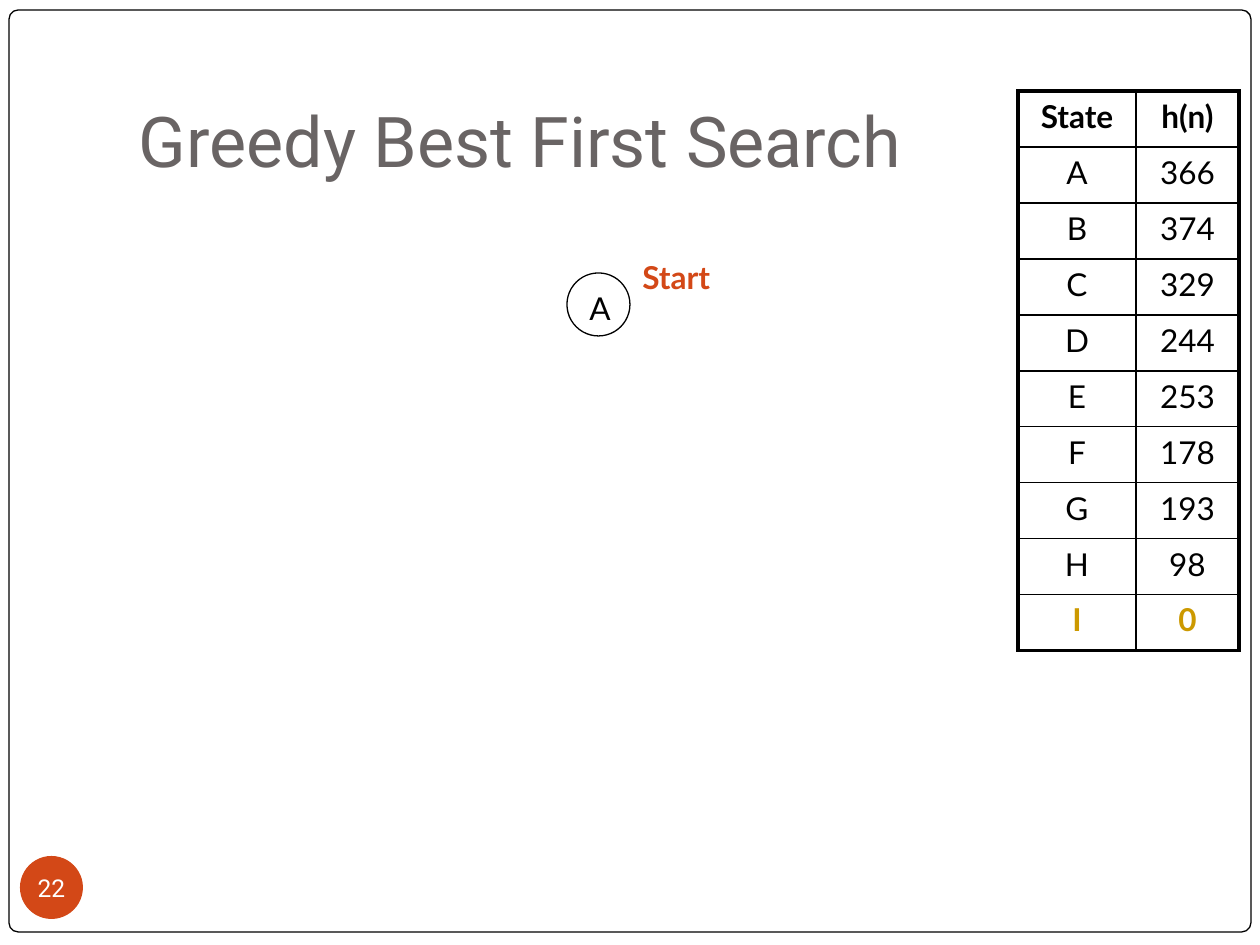
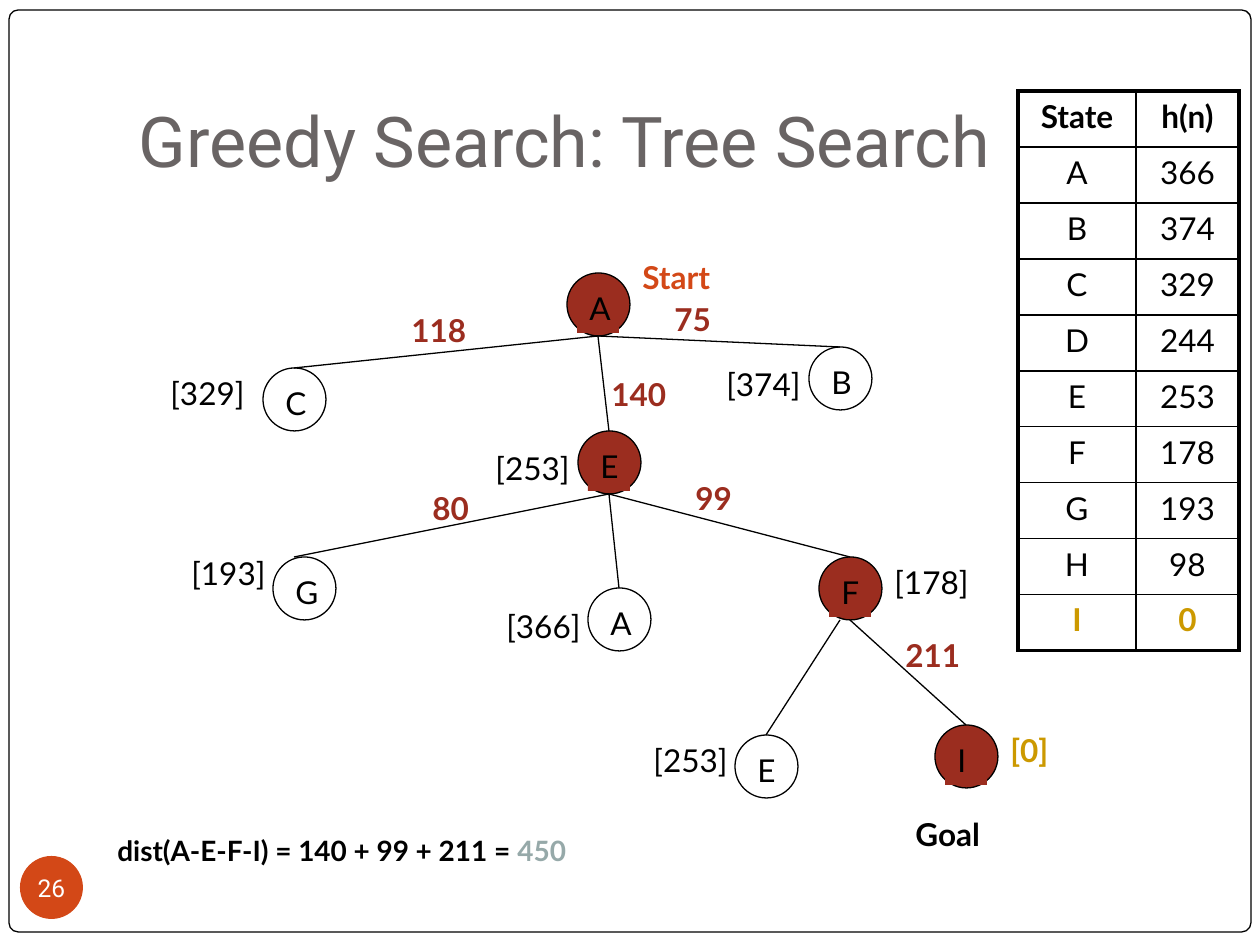
from lxml.etree import SubElement
from pptx import Presentation
from pptx.dml.color import RGBColor
from pptx.enum.shapes import MSO_CONNECTOR, MSO_SHAPE
from pptx.enum.text import MSO_ANCHOR, MSO_AUTO_SIZE, PP_ALIGN
from pptx.oxml.ns import qn
from pptx.util import Emu, Pt

PX_PER_INCH = 126
BLACK = RGBColor(0x00, 0x00, 0x00)
WHITE = RGBColor(0xFF, 0xFF, 0xFF)
TITLE_GREY = RGBColor(0x69, 0x64, 0x64)
ORANGE = RGBColor(0xD3, 0x48, 0x17)
DARK_RED = RGBColor(0x9B, 0x2D, 0x1F)
GOLD = RGBColor(0xCC, 0x99, 0x00)
TOTAL_GREY = RGBColor(0x96, 0xA9, 0xA9)
TITLE_FONT, BODY_FONT = "Roboto", "Lato"

NODE_SIZE = 63
LABEL_HEIGHT = 50
HEURISTICS = {"A": 366, "B": 374, "C": 329, "D": 244, "E": 253,
              "F": 178, "G": 193, "H": 98, "I": 0}
GOAL = "I"

# name: (state, left, top, on the chosen path)
TREE = {
    "A": ("A", 567, 273, True),
    "B": ("B", 809, 347, False),
    "C": ("C", 263, 368, False),
    "E": ("E", 578, 431, True),
    "F": ("F", 819, 557, True),
    "I": ("I", 935, 725, True),
    "G": ("G", 273, 557, False),
    "A again": ("A", 588, 588, False),
    "E again": ("E", 735, 735, False),
}
# parent, child, shift of the start, shift of the end
EDGES = [("A", "B", 0, 0), ("A", "E", 0, 0), ("A", "C", 0, 0),
         ("E", "F", 0, 0), ("E", "G", 0, -10), ("E", "A again", 0, 0),
         ("F", "I", 0, 0), ("F", "E again", -10, 0)]
STEP_COSTS = [("99", 683, 473), ("211", 893, 630), ("80", 420, 483),
              ("75", 662, 294), ("118", 399, 305), ("140", 599, 369)]
ESTIMATES = [("B", 714, 359), ("C", 158, 368), ("E", 483, 443),
             ("G", 179, 548), ("A", 494, 601), ("F", 882, 557),
             ("E", 641, 735), ("I", 998, 725)]


def px(*lengths):
    return [Emu(round(length * 914400 / PX_PER_INCH)) for length in lengths]


def add_span(para, text, size=18, color=BLACK, bold=False, font=BODY_FONT):
    span = para.add_run()
    span.text = text
    span.font.name = font
    span.font.size = Pt(size)
    span.font.bold = bold
    span.font.color.rgb = color


def set_margins(frame, left, top, right, bottom):
    frame.margin_left, frame.margin_top, frame.margin_right, frame.margin_bottom = px(
        left, top, right, bottom)


def add_preset(shapes, kind, place, fill=None, outlined=True):
    shape = shapes.add_shape(kind, *px(*place))
    shape.shadow.inherit = False
    if fill is None:
        shape.fill.background()
    else:
        shape.fill.solid()
        shape.fill.fore_color.rgb = fill
    if outlined:
        shape.line.color.rgb = BLACK
        shape.line.width = Pt(0.75)
    else:
        shape.line.fill.background()
    return shape


def add_label(shapes, place, *spans, fill=None, **style):
    """Add a text box of spans, each a (text, colour) pair."""
    box = shapes.add_textbox(*px(*place))
    if fill is not None:
        box.fill.solid()
        box.fill.fore_color.rgb = fill
    frame = box.text_frame
    frame.word_wrap = True
    frame.auto_size = MSO_AUTO_SIZE.SHAPE_TO_FIT_TEXT
    for text, color in spans:
        add_span(frame.paragraphs[0], text, color=color, **style)


def add_title(slide, text):
    title = slide.shapes.title
    title.left, title.top, title.width, title.height = px(126, 38, 1071, 157)
    frame = title.text_frame
    frame.auto_size = MSO_AUTO_SIZE.NONE
    frame.vertical_anchor = MSO_ANCHOR.BOTTOM
    set_margins(frame, 13, 6, 13, 13)
    para = frame.paragraphs[0]
    para.alignment = PP_ALIGN.LEFT
    add_span(para, text, 40, TITLE_GREY, font=TITLE_FONT)
    return title


def add_page_number(slide, number):
    badge = add_preset(slide.shapes, MSO_SHAPE.OVAL, (20, 856, 63, 63), ORANGE, outlined=False)
    frame = badge.text_frame
    frame.vertical_anchor = MSO_ANCHOR.MIDDLE
    set_margins(frame, 0, 0, 0, 0)
    para = frame.paragraphs[0]
    para.alignment = PP_ALIGN.CENTER
    add_span(para, str(number), 14, WHITE, font=TITLE_FONT)


def add_page(deck, title_text, number):
    """Add a slide with the border, title and page number all slides share."""
    slide = deck.slides.add_slide(deck.slide_layouts[5])
    title = add_title(slide, title_text)
    border = add_preset(slide.shapes, MSO_SHAPE.ROUNDED_RECTANGLE, (9, 10, 1242, 922), WHITE)
    border.adjustments[0] = 0.01
    title._element.addprevious(border._element)
    add_page_number(slide, number)
    return slide


def add_node(slide, state, left, top, visited=False):
    group = slide.shapes.add_group_shape()
    fill = DARK_RED if visited else None
    add_preset(group.shapes, MSO_SHAPE.OVAL, (left, top, NODE_SIZE, NODE_SIZE), fill)
    add_label(group.shapes, (left + 10, top + 10, 42, LABEL_HEIGHT), (state, BLACK), fill=fill)


def add_edge(slide, parent, child, start_shift, end_shift):
    """Join the bottom of the parent node to the top of the child node."""
    _, parent_left, parent_top, _ = TREE[parent]
    _, child_left, child_top, _ = TREE[child]
    half = NODE_SIZE // 2
    edge = slide.shapes.add_connector(MSO_CONNECTOR.STRAIGHT, *px(
        parent_left + half + start_shift, parent_top + NODE_SIZE,
        child_left + half + end_shift, child_top))
    edge.line.color.rgb = BLACK
    edge.line.width = Pt(0.75)
    SubElement(edge._element.spPr, qn("a:effectLst"))


def add_start_label(slide):
    add_label(slide.shapes, (630, 252, 168, LABEL_HEIGHT), ("Start", ORANGE), bold=True)


def set_borders(cell, widths):
    properties = cell._tc.get_or_add_tcPr()
    for side, width in zip("LRTB", widths):
        line = SubElement(properties, qn(f"a:ln{side}"), w=str(Pt(width)))
        fill = SubElement(line, qn("a:solidFill"))
        SubElement(fill, qn("a:srgbClr"), val=str(BLACK))


def add_heuristic_table(slide):
    rows = [("State", "h(n)"), *HEURISTICS.items()]
    last = len(rows) - 1
    row_height, column_widths = 56, (118, 103)
    table = slide.shapes.add_table(
        len(rows), 2, *px(1018, 91, sum(column_widths), row_height * len(rows))).table
    table.first_row = table.horz_banding = False
    for column, width in zip(table.columns, px(*column_widths)):
        column.width = width
    for r, values in enumerate(rows):
        table.rows[r].height = px(row_height)[0]
        for c, value in enumerate(values):
            cell = table.cell(r, c)
            outer_sides = (c == 0, c == 1, r == 0, r == last)
            set_borders(cell, [2.25 if outer else 1 for outer in outer_sides])
            cell.fill.background()
            para = cell.text_frame.paragraphs[0]
            para.alignment = PP_ALIGN.CENTER
            add_span(para, str(value), color=GOLD if values[0] == GOAL else BLACK,
                     bold=r in (0, last))


def add_search_tree(slide):
    for node in TREE.values():
        add_node(slide, *node)
    for edge in EDGES:
        add_edge(slide, *edge)
    for cost, left, top in STEP_COSTS:
        width = 42 + 21 * len(cost)
        add_label(slide.shapes, (left, top, width, LABEL_HEIGHT), (cost, DARK_RED), bold=True)
    for state, left, top in ESTIMATES:
        is_goal = state == GOAL
        add_label(slide.shapes, (left, top, 116, LABEL_HEIGHT),
                  (f"[{HEURISTICS[state]}]", GOLD if is_goal else BLACK), bold=is_goal)


def main():
    deck = Presentation()
    deck.slide_width, deck.slide_height = px(1260, 945)

    first_step = add_page(deck, "Greedy Best First Search", 22)
    add_node(first_step, *TREE["A"][:3])
    add_start_label(first_step)
    add_heuristic_table(first_step)

    full_tree = add_page(deck, "Greedy Search: Tree Search", 26)
    add_search_tree(full_tree)
    add_start_label(full_tree)
    add_label(full_tree.shapes, (903, 809, 168, LABEL_HEIGHT), ("Goal", BLACK), bold=True)
    add_label(full_tree.shapes, (105, 827, 756, 47),
              ("dist(A-E-F-I) = 140 + 99 + 211 = ", BLACK), ("450", TOTAL_GREY),
              size=16, bold=True)
    add_heuristic_table(full_tree)

    deck.save("out.pptx")


if __name__ == "__main__":
    main()
